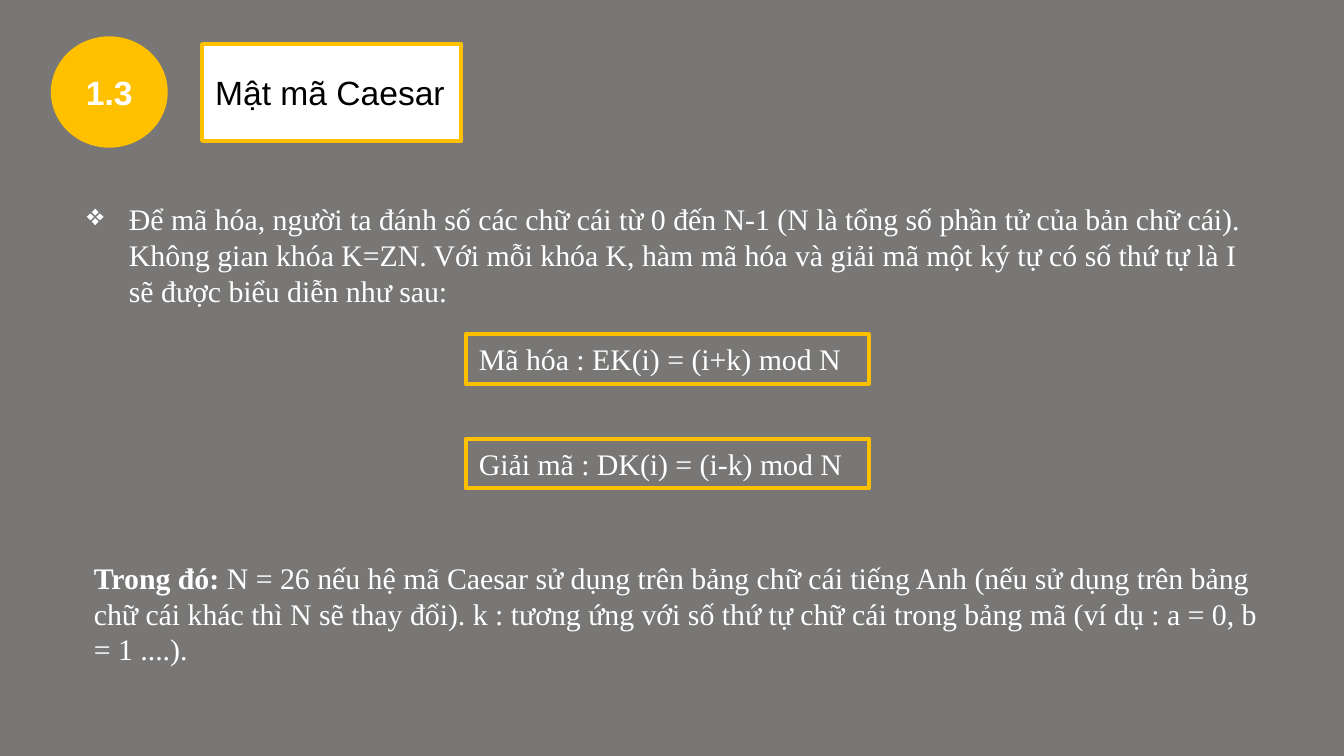
from dataclasses import dataclass
from typing import Optional

from lxml.etree import SubElement
from pptx import Presentation
from pptx.dml.color import RGBColor
from pptx.enum.shapes import MSO_SHAPE
from pptx.enum.text import MSO_ANCHOR, MSO_AUTO_SIZE, PP_ALIGN
from pptx.oxml.ns import qn
from pptx.util import Pt

WHITE = RGBColor(0xFF, 0xFF, 0xFF)
BLACK = RGBColor(0x00, 0x00, 0x00)
GOLD = RGBColor(0xFF, 0xC0, 0x00)
CHARCOAL = RGBColor(0x44, 0x43, 0x42)

PAGE_WIDTH, PAGE_HEIGHT = 720, 405
VEIL_OPACITY = 72
BULLET_INDENT = 22.5


@dataclass
class Span:
    text: str
    bold: bool = False


@dataclass
class Box:
    left: float
    top: float
    width: float
    height: float
    spans: tuple[Span, ...] = ()
    font: str = "Times New Roman"
    size: float = 16
    color: RGBColor = WHITE
    shape: MSO_SHAPE = MSO_SHAPE.RECTANGLE
    fill: Optional[RGBColor] = None
    line: Optional[RGBColor] = None
    align: PP_ALIGN = PP_ALIGN.LEFT
    anchor: MSO_ANCHOR = MSO_ANCHOR.TOP
    bullet: str = ""


def add_bullet(para, character: str) -> None:
    properties = para._p.get_or_add_pPr()
    properties.set("marL", str(Pt(BULLET_INDENT)))
    properties.set("indent", str(-Pt(BULLET_INDENT)))
    SubElement(properties, qn("a:buChar")).set("char", character)


def write_text(frame, box: Box) -> None:
    frame.word_wrap = True
    frame.auto_size = MSO_AUTO_SIZE.NONE
    frame.vertical_anchor = box.anchor
    para = frame.paragraphs[0]
    para.alignment = box.align
    if box.bullet:
        add_bullet(para, box.bullet)
    for span in box.spans:
        run = para.add_run()
        run.text = span.text
        run.font.name = box.font
        run.font.size = Pt(box.size)
        run.font.bold = span.bold
        run.font.color.rgb = box.color


def draw_box(page, box: Box):
    place = [Pt(value) for value in (box.left, box.top, box.width, box.height)]
    if box.fill is None and box.line is None:
        shape = page.shapes.add_textbox(*place)
    else:
        shape = page.shapes.add_shape(box.shape, *place)
        shape.shadow.inherit = False
        if box.fill is None:
            shape.fill.background()
        else:
            shape.fill.solid()
            shape.fill.fore_color.rgb = box.fill
        if box.line is None:
            shape.line.fill.background()
        else:
            shape.line.color.rgb = box.line
            shape.line.width = Pt(2)
    if box.spans:
        write_text(shape.text_frame, box)
    return shape


def draw_veil(page) -> None:
    veil = draw_box(page, Box(0, 0, PAGE_WIDTH, PAGE_HEIGHT, fill=CHARCOAL))
    color = veil.fill._xPr.find(qn("a:solidFill")).find(qn("a:srgbClr"))
    SubElement(color, qn("a:alpha")).set("val", str(VEIL_OPACITY * 1000))


def formula(top: float, text: str) -> Box:
    return Box(249.5, top, 216, 26.66, (Span(text),), line=GOLD)


BOXES = (
    Box(27.3, 19.5, 62.6, 59.6, (Span("1.3", bold=True),), font="Arial", size=18,
        shape=MSO_SHAPE.OVAL, fill=GOLD, align=PP_ALIGN.CENTER, anchor=MSO_ANCHOR.MIDDLE),
    Box(108.2, 23.6, 138.8, 52, (Span("Mật mã Caesar"),), font="Arial", size=18,
        color=BLACK, fill=WHITE, line=GOLD, anchor=MSO_ANCHOR.MIDDLE),
    Box(39.5, 103.9, 636.5, 65.4, (Span(
        "Để mã hóa, người ta đánh số các chữ cái từ 0 đến N-1 (N là tổng số phần tử "
        "của bản chữ cái). Không gian khóa K=ZN. Với mỗi khóa K, hàm mã hóa và giải mã "
        "một ký tự có số thứ tự là I sẽ được biểu diễn như sau:"),), bullet="❖"),
    formula(179, "Mã hóa : EK(i) = (i+k) mod N"),
    formula(235, "Giải mã : DK(i) = (i-k) mod N"),
    Box(43.2, 296.2, 648.7, 65.4, (
        Span("Trong đó:", bold=True),
        Span(" N = 26 nếu hệ mã Caesar sử dụng trên bảng chữ cái tiếng Anh (nếu sử dụng "
             "trên bảng chữ cái khác thì N sẽ thay đổi). k : tương ứng với số thứ tự chữ "
             "cái trong bảng mã (ví dụ : a = 0, b = 1 ....)."))),
)


def main() -> None:
    deck = Presentation()
    deck.slide_width = Pt(PAGE_WIDTH)
    deck.slide_height = Pt(PAGE_HEIGHT)
    page = deck.slides.add_slide(deck.slide_layouts[6])
    page.background.fill.solid()
    page.background.fill.fore_color.rgb = WHITE
    draw_veil(page)
    for box in BOXES:
        draw_box(page, box)
    deck.save("out.pptx")


if __name__ == "__main__":
    main()
